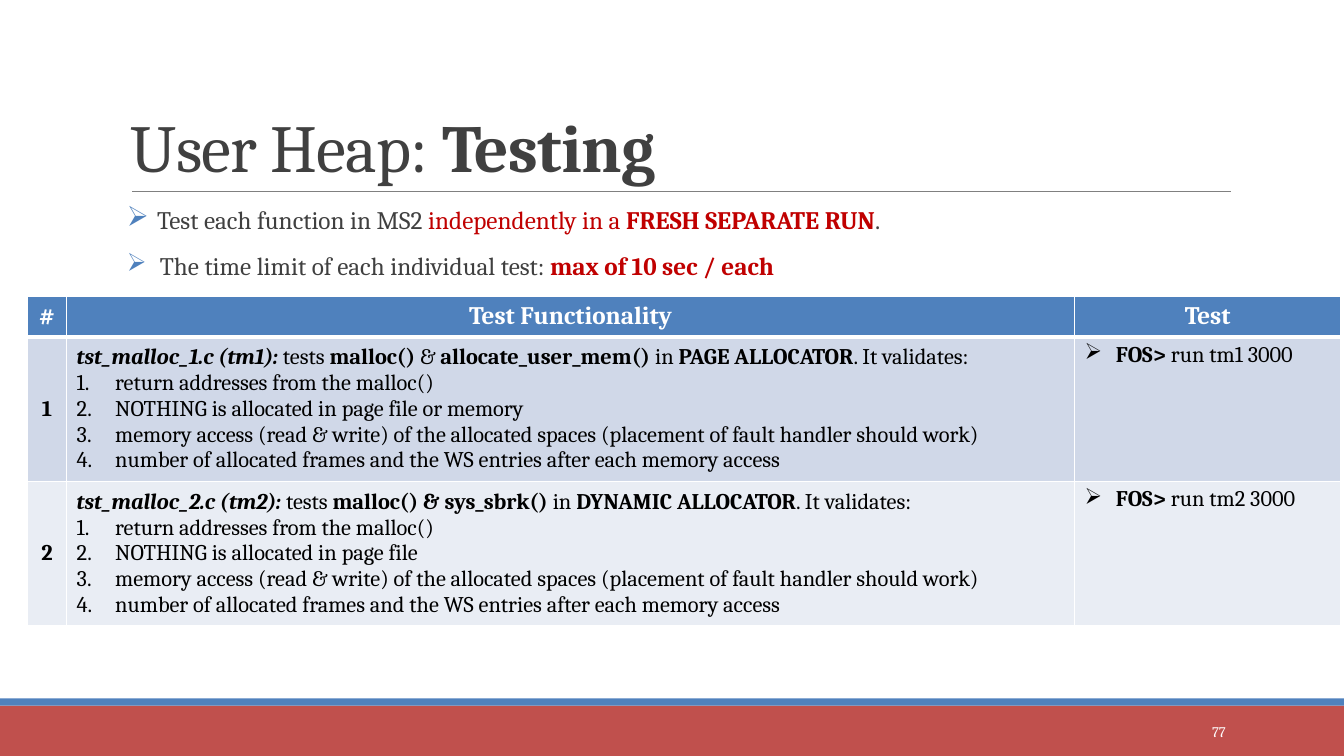
from lxml import etree
from pptx import Presentation
from pptx import util as u
from pptx.dml.color import RGBColor
from pptx.enum import shapes, text
from pptx.oxml.ns import qn

COLORS = {
    "white": "FFFFFF", "black": "000000", "ink": "404040", "blue": "4F81BD",
    "brick": "C0504D", "red": "C00000", "rule": "808080",
    "band1": "D0D8E8", "band2": "E9EDF4",
}
FONT = "Cambria"
ARROW = "➢"
WIDTH, HEIGHT = 33.87, 19.05
CENTER, RIGHT = text.PP_ALIGN.CENTER, text.PP_ALIGN.RIGHT
MIDDLE, BOTTOM = text.MSO_ANCHOR.MIDDLE, text.MSO_ANCHOR.BOTTOM

TESTS = [
    ([("tst_malloc_1.c (tm1): ", "bi"), ("tests ", ""), ("malloc() ", "b"), ("& ", ""),
      ("allocate_user_mem() ", "b"), ("in ", ""), ("PAGE ALLOCATOR", "b"), (". It validates:", "")],
     "NOTHING is allocated in page file or memory", " run tm1 3000", "band1"),
    ([("tst_malloc_2.c (tm2): ", "bi"), ("tests ", ""), ("malloc() & sys_sbrk() ", "b"),
      ("in ", ""), ("DYNAMIC ALLOCATOR", "b"), (". It validates:", "")],
     "NOTHING is allocated in page file", " run tm2 3000", "band2"),
]


def rgb(name):
    return RGBColor.from_string(COLORS[name])


def cm(*values):
    return [u.Cm(v) for v in values]


def write(p, words, size=16, color="black", bold=False, italic=False, spacing=None):
    r = p.add_run()
    r.text = words
    f = r.font
    f.name, f.size, f.bold, f.italic = FONT, u.Pt(size), bold, italic
    f.color.rgb = rgb(color)
    if spacing is not None:
        r._r.get_or_add_rPr().set("spc", str(int(spacing * 100)))


def add_bullet(p, indent, char=None, color=None, hang=None, percent=None):
    pPr = p._p.get_or_add_pPr()
    pPr.set("marL", str(u.Cm(indent)))
    pPr.set("indent", str(-u.Cm(hang or indent)))
    if color:
        clr = etree.SubElement(pPr, qn("a:buClr"))
        etree.SubElement(clr, qn("a:srgbClr"), val=COLORS[color])
    if percent:
        etree.SubElement(pPr, qn("a:buSzPct"), val=str(percent * 1000))
    if char:
        etree.SubElement(pPr, qn("a:buChar"), char=char)
    else:
        etree.SubElement(pPr, qn("a:buAutoNum"), type="arabicPeriod")


def add_box(s, box, anchor=text.MSO_ANCHOR.TOP, side=0.25):
    tf = s.shapes.add_textbox(*cm(*box)).text_frame
    tf.word_wrap = True
    tf.vertical_anchor = anchor
    tf.margin_left = tf.margin_right = u.Cm(side)
    return tf


def add_bar(s, box, color):
    sp = s.shapes.add_shape(shapes.MSO_SHAPE.RECTANGLE, *cm(*box))
    sp.shadow.inherit = False
    sp.fill.solid()
    sp.fill.fore_color.rgb = rgb(color)
    sp.line.fill.background()


def add_footer(s, box, number):
    left, top, width, height = box
    add_bar(s, box, "brick")
    add_bar(s, (left, top - 0.18, width, 0.18), "blue")
    p = add_box(s, (left + 27.51, top + 0.15, 3.63, 1.02), MIDDLE).paragraphs[0]
    p.alignment = RIGHT
    write(p, number, size=10.5, color="white")


def add_title(s, box):
    left, top, width, height = box
    p = add_box(s, box, BOTTOM).paragraphs[0]
    p.line_spacing = 0.85
    write(p, "User Heap: ", size=48, color="ink", spacing=-0.5)
    write(p, "Testing", size=48, color="ink", spacing=-0.5, bold=True)
    y = top + height
    line = s.shapes.add_connector(shapes.MSO_CONNECTOR.STRAIGHT,
                                  *cm(left + 0.28, y, left + 27.96, y))
    line.line.color.rgb = rgb("rule")
    line.line.width = u.Pt(0.5)
    etree.SubElement(line._element.spPr, qn("a:effectLst"))


def add_rules(s, box):
    tf = add_box(s, box, side=0)
    p = tf.paragraphs[0]
    p.space_after = u.Pt(2)
    add_bullet(p, 0.76, ARROW, "blue", percent=111)
    write(p, "Test each function in MS2 ", size=18, color="ink")
    write(p, "independently in a ", size=18, color="red")
    write(p, "FRESH SEPARATE RUN", size=18, color="red", bold=True)
    write(p, ".", size=18, color="ink")
    p = tf.add_paragraph()
    p.space_before, p.space_after = u.Pt(9), u.Pt(2)
    add_bullet(p, 0.83, ARROW, "blue")
    write(p, "The time limit of each individual test: ", size=18, color="ink")
    write(p, "max of 10 sec / each", size=18, color="red", bold=True)


def style_cell(cell, fill, bottom=1):
    tcPr = cell._tc.get_or_add_tcPr()
    for side, pt in (("L", 1), ("R", 1), ("T", 1), ("B", bottom)):
        ln = etree.SubElement(tcPr, qn("a:ln" + side), w=str(u.Pt(pt)))
        solid = etree.SubElement(ln, qn("a:solidFill"))
        etree.SubElement(solid, qn("a:srgbClr"), val=COLORS["white"])
    cell.fill.solid()
    cell.fill.fore_color.rgb = rgb(fill)


def add_tests(s, box):
    table = s.shapes.add_table(len(TESTS) + 1, 3, *cm(*box)).table
    for col, width in zip(table.columns, (0.99, 25.4, 6.71)):
        col.width = u.Cm(width)
    for row, height in zip(table.rows, (1, 3.48, 3.48)):
        row.height = u.Cm(height)
    for cell, words in zip(table.rows[0].cells, ("#", "Test Functionality", "Test")):
        style_cell(cell, "blue", bottom=3)
        p = cell.text_frame.paragraphs[0]
        p.alignment = CENTER
        write(p, words, size=18, color="white", bold=True)
    for i, (intro, page_check, command, fill) in enumerate(TESTS, 1):
        number, details, run = table.rows[i].cells
        for cell in (number, details, run):
            style_cell(cell, fill)
        number.vertical_anchor = details.vertical_anchor = MIDDLE
        p = number.text_frame.paragraphs[0]
        p.alignment = CENTER
        write(p, str(i), bold=True)
        for words, style in intro:
            write(details.text_frame.paragraphs[0], words, bold="b" in style, italic="i" in style)
        for check in ("return addresses from the malloc()", page_check,
                      "memory access (read & write) of the allocated spaces "
                      "(placement of fault handler should work)",
                      "number of allocated frames and the WS entries after each memory access"):
            p = details.text_frame.add_paragraph()
            add_bullet(p, 0.97)
            write(p, check)
        p = run.text_frame.paragraphs[0]
        add_bullet(p, 0.79, ARROW)
        write(p, "FOS>", bold=True)
        write(p, command)


def main():
    prs = Presentation()
    prs.slide_width, prs.slide_height = cm(WIDTH, HEIGHT)
    s = prs.slides.add_slide(prs.slide_layouts[6])
    add_footer(s, (0, 17.78, WIDTH, 1.27), "77")
    add_title(s, (3.05, 0.79, 27.94, 4.04))
    add_rules(s, (3.2, 5.03, 27.94, 2.59))
    add_tests(s, (0.69, 7.47, 33.1, 7.96))
    prs.save("out.pptx")


if __name__ == "__main__":
    main()
